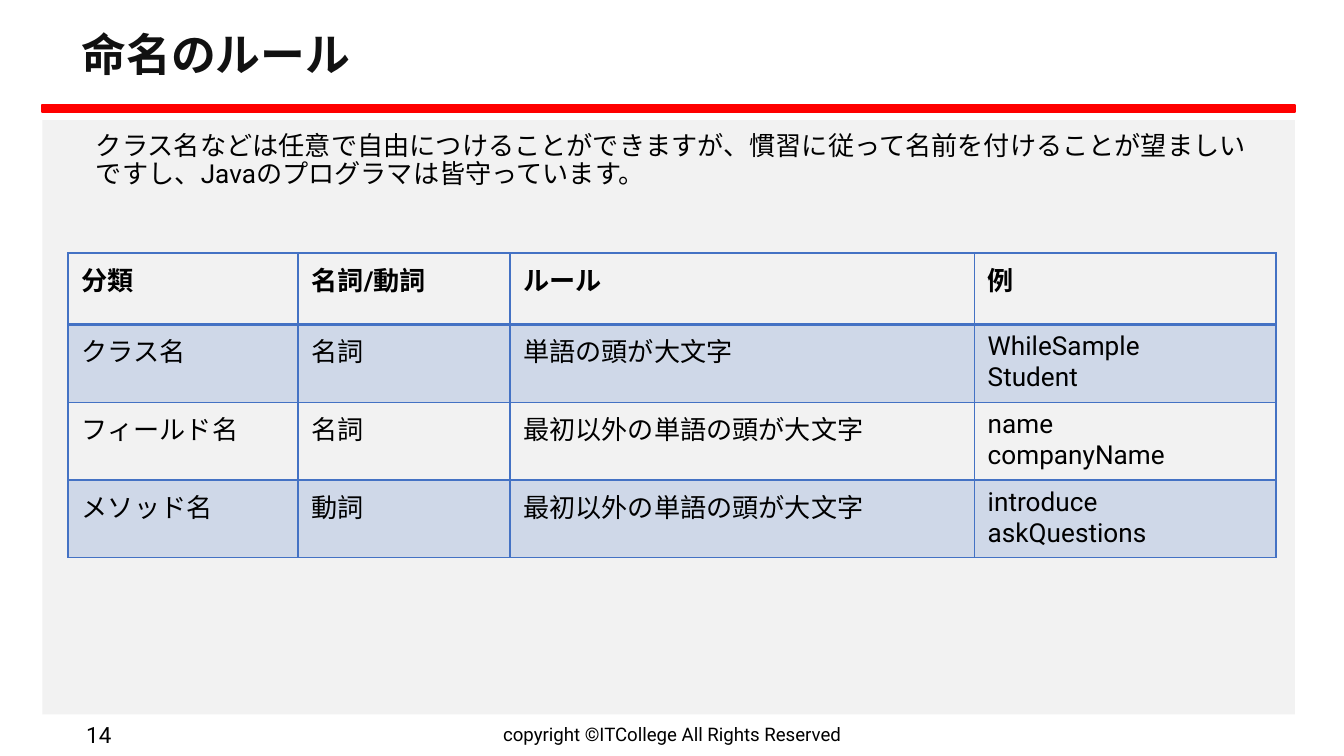
from dataclasses import dataclass, field

from lxml import etree
from pptx import Presentation
from pptx.dml.color import RGBColor
from pptx.enum.shapes import MSO_SHAPE
from pptx.enum.text import MSO_ANCHOR, PP_ALIGN
from pptx.oxml.ns import qn
from pptx.util import Inches, Pt

RECT = MSO_SHAPE.RECTANGLE
TOP, MIDDLE = MSO_ANCHOR.TOP, MSO_ANCHOR.MIDDLE
LEFT, CENTER, RIGHT = PP_ALIGN.LEFT, PP_ALIGN.CENTER, PP_ALIGN.RIGHT
WIDTH = Inches(10)
HEIGHT = WIDTH * 9 // 16
FONT, BLACK, RED, GREY, BLUE = "Roboto", "000000", "FF0000", "F2F2F2", "4472C4"
COLS = (17.1, 15.75, 34.57, 22.47)
ROWS = (9.5, 10.28, 10.28, 10.28)
CELLS = (
    ("分類", "名詞/動詞", "ルール", "例"),
    ("クラス名", "名詞", "単語の頭が大文字", "WhileSample\nStudent"),
    ("フィールド名", "名詞", "最初以外の単語の頭が大文字", "name\ncompanyName"),
    ("メソッド名", "動詞", "最初以外の単語の頭が大文字", "introduce\naskQuestions"),
)


@dataclass
class Box:
    """An area in percent of the slide's width and height."""
    left: float
    top: float
    width: float
    height: float

    def spots(self) -> tuple:
        """Return left, top, width and height as lengths."""
        return (across(self.left), down(self.top),
                across(self.width), down(self.height))


@dataclass
class Label:
    """A text with its area and format values."""
    text: str
    box: Box
    font: dict
    color: str = BLACK
    frame: dict = field(default_factory=dict)
    para: dict = field(default_factory=dict)
    indent: float = 0


BARS = (
    (Box(3.15, 15.9, 93.2, 78.6), GREY, False),
    (Box(3.15, 13.9, 93.2, 0.93), RED, True),
)
INSET = Inches(0.1)
LABELS = (
    Label("copyright ©ITCollege All Rights Reserved", Box(33.1, 94.67, 33.8, 4.98),
          {"size": Pt(10)}, frame={"vertical_anchor": MIDDLE},
          para={"alignment": CENTER}),
    Label("命名のルール", Box(5.08, 2.31, 89.9, 10.49),
          {"size": Pt(24), "bold": True}, "111111",
          {"vertical_anchor": MIDDLE, "margin_top": INSET, "margin_bottom": INSET},
          {"alignment": LEFT, "line_spacing": 0.9}),
    Label("14", Box(2.37, 94.67, 6.9, 4.98), {"size": Pt(12)},
          frame={"vertical_anchor": MIDDLE}, para={"alignment": RIGHT}),
    Label("クラス名などは任意で自由につけることができますが、慣習に従って名前を付けることが"
          "望ましいですし、Javaのプログラマは皆守っています。",
          Box(5.06, 16.71, 89.9, 9.42), {"size": Pt(14)},
          frame={"vertical_anchor": TOP},
          para={"alignment": LEFT, "line_spacing": 0.9}, indent=0.11),
)


def across(share: float) -> int:
    """Turn a percent of the slide's width into a length."""
    return round(WIDTH * share / 100)


def down(share: float) -> int:
    """Turn a percent of the slide's height into a length."""
    return round(HEIGHT * share / 100)


def paint(target, color: str) -> None:
    """Set a colour from a hex string."""
    target.rgb = RGBColor.from_string(color)


def apply(target, values: dict) -> None:
    """Set each named value on the target."""
    for name, value in values.items():
        setattr(target, name, value)


def write(frame, text: str, font: dict, color: str, para: dict) -> None:
    """Fill a text frame and format its paragraphs."""
    frame.text = text
    for item in frame.paragraphs:
        apply(item, para)
        for run in item.runs:
            apply(run.font, {"name": FONT, **font})
            paint(run.font.color, color)


def draw_bar(slide, box: Box, color: str, lined: bool) -> None:
    """Draw a filled rectangle, with a line if asked."""
    bar = slide.shapes.add_shape(RECT, *box.spots())
    bar.shadow.inherit = False
    bar.fill.solid()
    paint(bar.fill.fore_color, color)
    if lined:
        bar.line.width = Pt(1)
        paint(bar.line.color, color)
    else:
        bar.line.fill.background()


def draw_label(slide, label: Label) -> None:
    """Draw a text box."""
    frame = slide.shapes.add_textbox(*label.box.spots()).text_frame
    apply(frame, {"word_wrap": True, **label.frame})
    write(frame, label.text, label.font, label.color, label.para)
    if label.indent:
        props = frame.paragraphs[0]._p.get_or_add_pPr()
        props.set("marL", str(Inches(label.indent)))
        props.set("indent", "0")


def edge(cell, side: str, points: float) -> None:
    """Add one border line to a cell."""
    line = etree.SubElement(cell._tc.get_or_add_tcPr(), qn(f"a:ln{side}"),
                            w=str(Pt(points)))
    solid = etree.SubElement(line, qn("a:solidFill"))
    etree.SubElement(solid, qn("a:srgbClr"), val=BLUE)


def draw_cell(cell, text: str, row: int) -> None:
    """Write a cell, its borders and its band."""
    write(cell.text_frame, text, {"size": Pt(14), "bold": row == 0}, BLACK, {})
    thick = {0: "B", 1: "T"}.get(row)
    for side in "LRTB":
        edge(cell, side, 2 if side == thick else 1)
    if row % 2:
        cell.fill.solid()
        paint(cell.fill.fore_color, BLUE)
        tint = cell._tc.tcPr.find(f"{qn('a:solidFill')}/{qn('a:srgbClr')}")
        etree.SubElement(tint, qn("a:alpha"), val="20000")
    else:
        cell.fill.background()


def draw_table(slide) -> None:
    """Draw the table of naming rules."""
    box = Box(5.08, 33.45, sum(COLS), sum(ROWS))
    table = slide.shapes.add_table(len(ROWS), len(COLS), *box.spots()).table
    apply(table, {"first_row": False, "horz_banding": False})
    for col, share in zip(table.columns, COLS):
        col.width = across(share)
    for row, share in zip(table.rows, ROWS):
        row.height = down(share)
    for row, texts in enumerate(CELLS):
        for col, text in enumerate(texts):
            draw_cell(table.cell(row, col), text, row)


def main() -> None:
    """Build and save the slide."""
    deck = Presentation()
    apply(deck, {"slide_width": WIDTH, "slide_height": HEIGHT})
    slide = deck.slides.add_slide(deck.slide_layouts[6])
    for bar in BARS:
        draw_bar(slide, *bar)
    for label in LABELS:
        draw_label(slide, label)
    draw_table(slide)
    deck.save("out.pptx")


if __name__ == "__main__":
    main()
